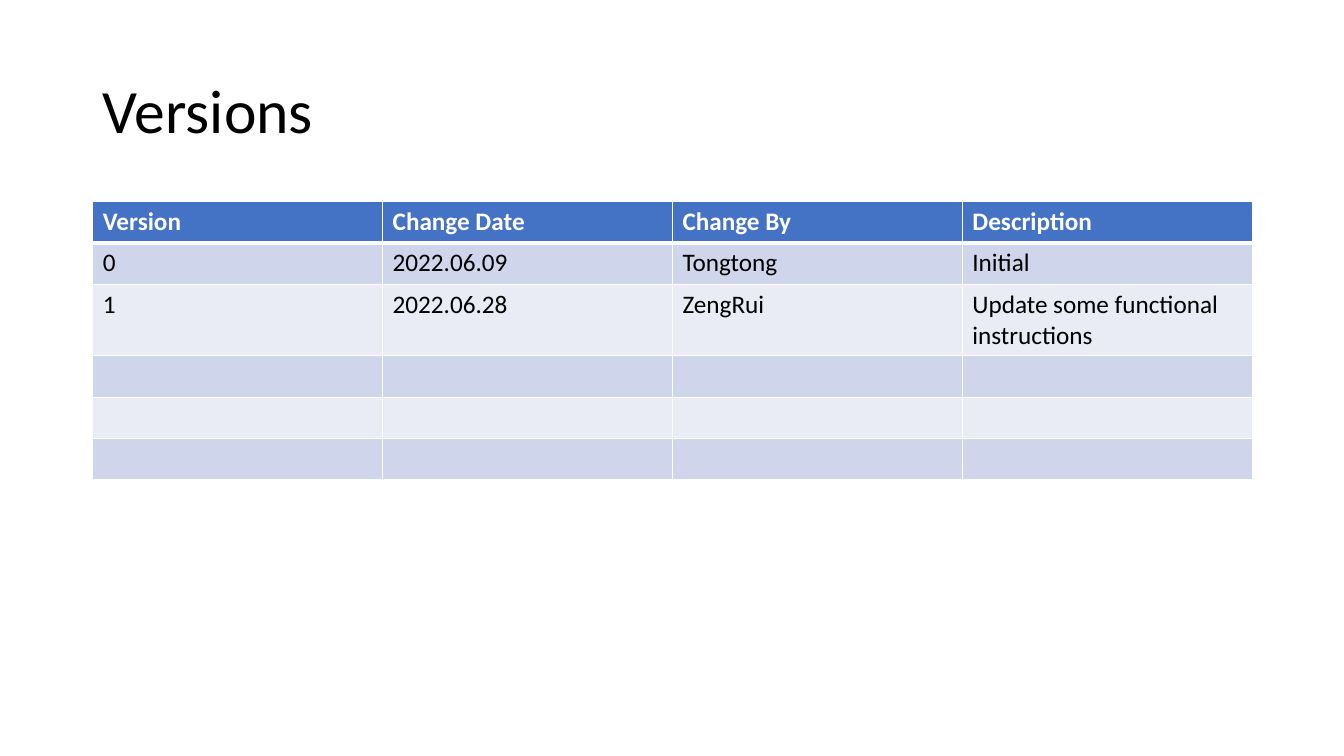
from lxml import etree
from pptx import Presentation
from pptx.dml.color import RGBColor as RGB
from pptx.enum.text import MSO_ANCHOR as Anchor, PP_ALIGN as Align
from pptx.oxml.ns import qn
from pptx.util import Inches, Pt

COLORS = {"text": "000000", "white": "FFFFFF", "header": "4472C4",
          "odd": "CFD5EA", "even": "E9EBF5"}

HISTORY = [
    ["Version", "Change Date", "Change By", "Description"],
    ["0", "2022.06.09", "Tongtong", "Initial"],
    ["1", "2022.06.28", "ZengRui", "Update some functional instructions"],
    *[[""] * 4 for _ in range(3)],
]


def style_font(font, color, **values):
    font.color.rgb = RGB.from_string(COLORS[color])
    for name, value in {"name": "Calibri", **values}.items():
        setattr(font, name, value)


def add_borders(cell, widths):
    properties = cell._tc.get_or_add_tcPr()
    for side, width in widths.items():
        line = etree.SubElement(properties, qn(f"a:ln{side}"), w=str(Pt(width)))
        fill = etree.SubElement(line, qn("a:solidFill"))
        etree.SubElement(fill, qn("a:srgbClr"), val=COLORS["white"])


deck = Presentation()
deck.slide_width, deck.slide_height = Inches(13.33), Inches(7.5)
slide = deck.slides.add_slide(deck.slide_layouts[5])

# Title
title = slide.shapes.title
title_place = {"left": 0.92, "top": 0.4, "width": 11.5, "height": 1.45}
for name, value in title_place.items():
    setattr(title, name, Inches(value))
title.text_frame.text = "Versions"
title.text_frame.vertical_anchor = Anchor.MIDDLE
heading = title.text_frame.paragraphs[0]
heading.alignment = Align.LEFT
heading.line_spacing = 0.9
style_font(heading.runs[0].font, "text", size=Pt(44))

# Version history table
history = slide.shapes.add_table(
    len(HISTORY), len(HISTORY[0]),
    Inches(0.92), Inches(2), Inches(11.5), Inches(2.46)).table
for row in history.rows:
    row.height = Inches(0.41)

for r, entries in enumerate(HISTORY):
    is_header = r == 0
    band = "header" if is_header else "odd" if r % 2 else "even"
    widths = {"L": 1, "R": 1, "T": 3 if r == 1 else 1, "B": 3 if is_header else 1}
    for c, entry in enumerate(entries):
        cell = history.cell(r, c)
        add_borders(cell, widths)
        cell.fill.solid()
        cell.fill.fore_color.rgb = RGB.from_string(COLORS[band])
        if entry:
            cell.text = entry
            style_font(cell.text_frame.paragraphs[0].runs[0].font,
                       "white" if is_header else "text",
                       size=Pt(18), bold=is_header)

deck.save("out.pptx")
